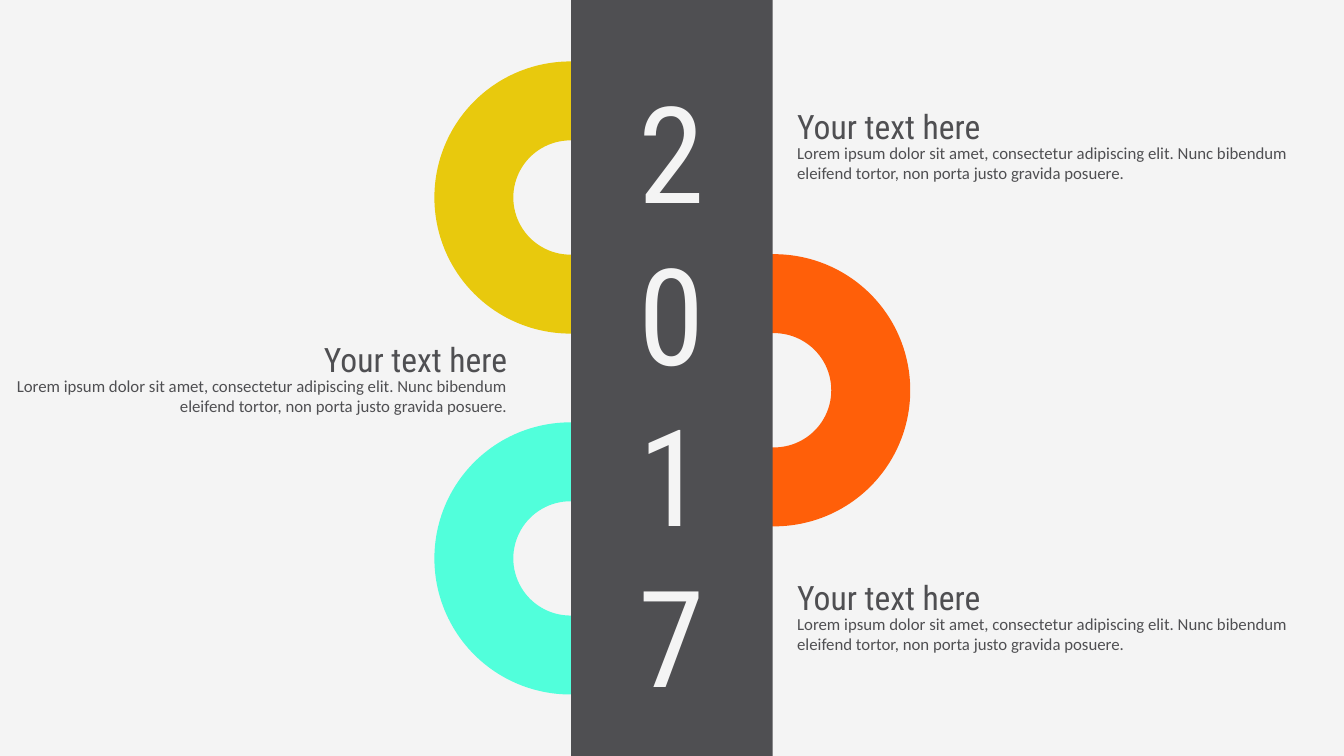
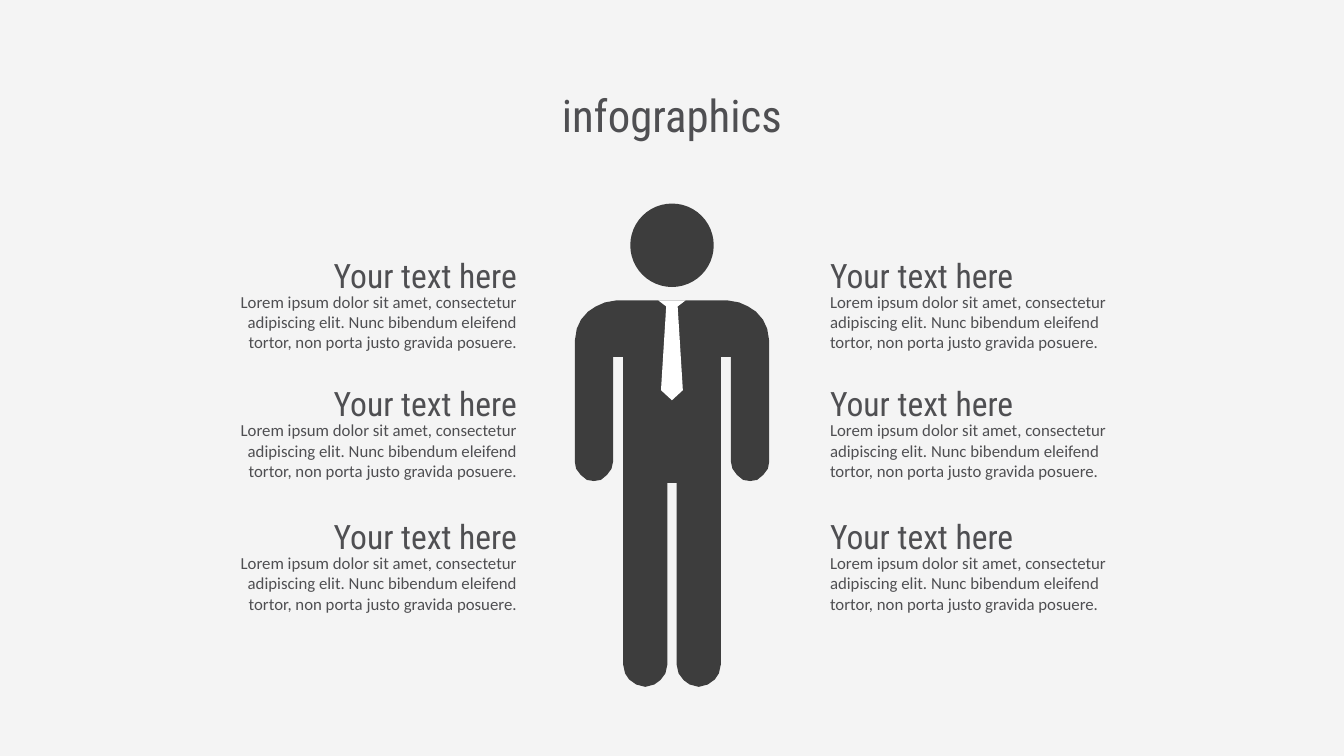
from pptx import Presentation
from pptx.dml.color import RGBColor
from pptx.enum import shapes as sh, text as tx
from pptx.util import Pt

# Shared look
PAPER = RGBColor(0xF4, 0xF4, 0xF4)
SLATE = RGBColor(0x4F, 0x4F, 0x52)
CHARCOAL = RGBColor(0x3D, 0x3D, 0x3D)
WHITE = RGBColor(0xFF, 0xFF, 0xFF)
YELLOW = RGBColor(0xE8, 0xC9, 0x0D)
ORANGE = RGBColor(0xFF, 0x5F, 0x09)
MINT = RGBColor(0x51, 0xFF, 0xDB)
HEAD_FONT, BODY_FONT = "Roboto Condensed", "Calibri"
LEFT, CENTER, RIGHT = tx.PP_ALIGN.LEFT, tx.PP_ALIGN.CENTER, tx.PP_ALIGN.RIGHT

WIDTH, HEIGHT = 960, 540
AXIS = WIDTH / 2
HEADING = "Your text here"
LOREM = ("Lorem ipsum dolor sit amet, consectetur adipiscing elit. "
         "Nunc bibendum eleifend tortor, non porta justo gravida posuere.")

# Right half of the figure, as (distance from axis, distance from shoulder line)
BODY_HALF = [
    (40, 0), (47.9, 1.4), (54.4, 4.3), (60, 8), (65, 13.7), (68, 20.2),
    (69.4, 28.8), (69.4, 115.2), (68.5, 120.2), (65.2, 124.6), (60.8, 128.2),
    (55.8, 129), (50.8, 128.2), (46.4, 124.6), (43.2, 120.2), (42.1, 115.2),
    (42.1, 40.3), (34.9, 40.3), (34.9, 260), (33.5, 266.4), (30.6, 270.7),
    (25.6, 274.3), (19.1, 276), (12.6, 274.3), (8.3, 271.2), (4.7, 266.4),
    (3.3, 260), (3.3, 130.3)]
TIE_HALF = [(9.7, 0), (4.1, 4.3), (7.8, 64.1), (0, 71.3)]


def place(part, left, top, width, height):
    part.left, part.top = Pt(left), Pt(top)
    part.width, part.height = Pt(width), Pt(height)


def paint(part, color):
    part.fill.solid()
    part.fill.fore_color.rgb = color
    part.line.fill.background()
    part.shadow.inherit = False


def add_preset(slide, kind, box, color):
    part = slide.shapes.add_shape(kind, *map(Pt, box))
    paint(part, color)
    return part


def write(frame, lines, font, size, color, align):
    frame.word_wrap = True
    frame.auto_size = tx.MSO_AUTO_SIZE.NONE
    frame.vertical_anchor = tx.MSO_ANCHOR.TOP
    frame.text = "\n".join(lines)
    for line in frame.paragraphs:
        line.alignment = align
        line.font.name, line.font.size = font, Pt(size)
        line.font.color.rgb = color


def add_title(slide, box, lines, size, color):
    title = slide.shapes.title
    place(title, *box)
    write(title.text_frame, lines, HEAD_FONT, size, color, CENTER)
    slide.shapes.element.append(title.element)  # bring to front


def add_callout(slide, left, top, width, align):
    """Heading with a short paragraph below it."""
    for offset, height, words, font, size in (
            (26.5, 51, LOREM, BODY_FONT, 12), (0, 36, HEADING, HEAD_FONT, 24)):
        box = slide.shapes.add_textbox(
            Pt(left), Pt(top + offset), Pt(width), Pt(height))
        write(box.text_frame, [words], font, size, SLATE, align)


def add_mirrored(slide, axis, top, half, color):
    """Closed outline, symmetric about a vertical axis."""
    outline = half + [(-x, y) for x, y in reversed(half)]
    points = [(Pt(axis + x), Pt(top + y)) for x, y in outline]
    builder = slide.shapes.build_freeform(*points[0])
    builder.add_line_segments(points[1:], close=True)
    paint(builder.convert_to_shape(), color)


def add_figure(slide, axis, top):
    """Businessman: body, head and tie."""
    head, shoulders = 59.6, top + 69.2
    add_mirrored(slide, axis, shoulders, BODY_HALF, CHARCOAL)
    add_preset(slide, sh.MSO_SHAPE.OVAL,
               (axis - head / 2, top, head, head), CHARCOAL)
    add_mirrored(slide, axis, shoulders, TIE_HALF, WHITE)


def build_year(slide):
    # Rings, half hidden by the band
    ring = 194.4
    for left, top, color in ((310.3, 43.9, YELLOW), (455.8, 181.6, ORANGE),
                             (310.3, 301.7, MINT)):
        donut = add_preset(slide, sh.MSO_SHAPE.DONUT,
                           (left, top, ring, ring), color)
        donut.adjustments[0] = 0.29

    # Central band
    band = 144
    band_left = AXIS - band / 2
    add_preset(slide, sh.MSO_SHAPE.RECTANGLE,
               (band_left, 0, band, HEIGHT), SLATE)

    # Callouts and year
    for left, top, align in ((562.3, 72, LEFT), (562.3, 408.3, LEFT),
                             (-18, 238.3, RIGHT)):
        add_callout(slide, left, top, 387.4, align)
    add_title(slide, (band_left, 46, band, 472), "2017", 96, PAPER)


def build_infographic(slide):
    add_figure(slide, AXIS, 145.4)
    for top in (178.4, 270, 365):
        for left, align in ((145.4, RIGHT), (585.8, LEFT)):
            add_callout(slide, left, top, 231, align)
    add_title(slide, (325, 59, 310, 46), ["infographics"], 32, SLATE)


def main():
    deck = Presentation()
    deck.slide_width, deck.slide_height = Pt(WIDTH), Pt(HEIGHT)
    backdrop = deck.slide_master.background.fill
    backdrop.solid()
    backdrop.fore_color.rgb = PAPER
    title_only = deck.slide_layouts[5]
    for build in (build_year, build_infographic):
        build(deck.slides.add_slide(title_only))
    deck.save("out.pptx")


if __name__ == "__main__":
    main()
